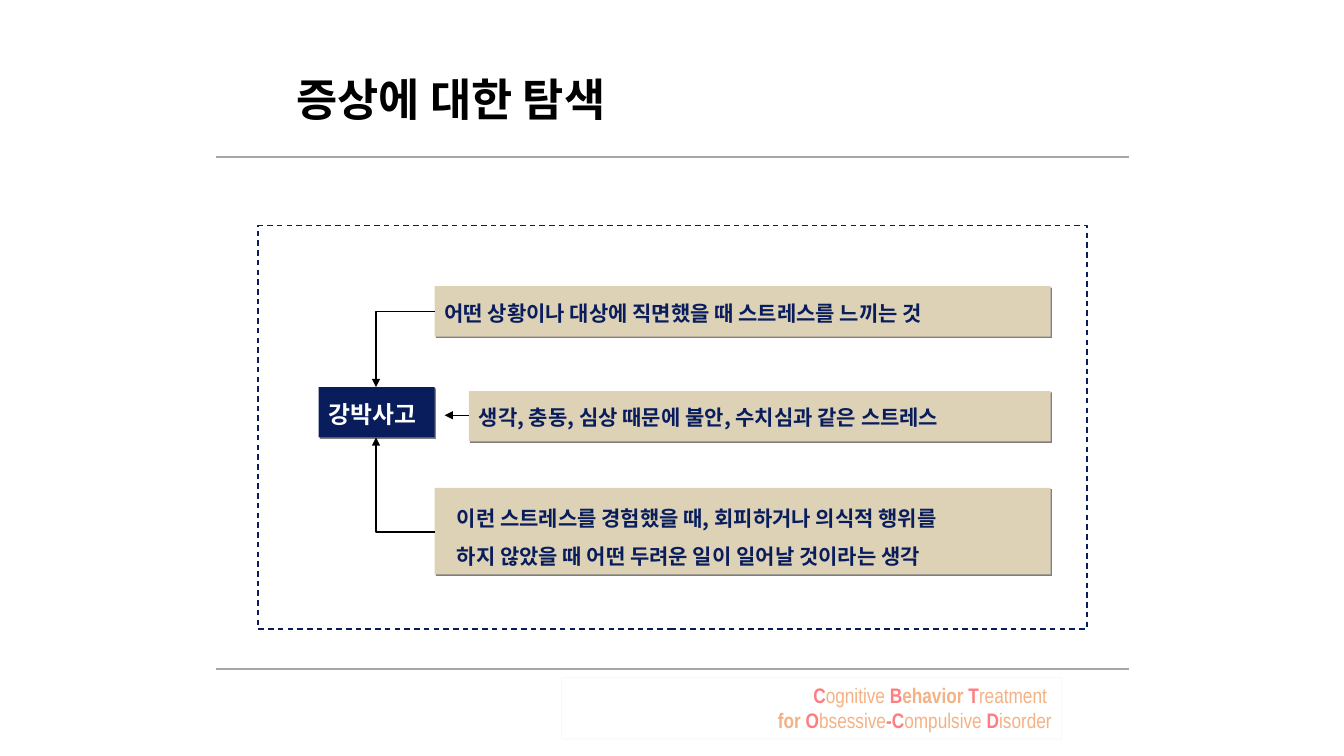
"""Build the slide on exploring the symptoms of obsessive thought."""
from lxml import etree
from pptx import Presentation
from pptx import util as u
from pptx.dml.color import RGBColor
from pptx.enum import dml, shapes, text
from pptx.oxml import parse_xml
from pptx.oxml.ns import nsdecls, qn

COLORS = {"navy": "091D5D", "sand": "DDD2B5", "white": "FFFFFF", "black": "000000",
          "rule": "A6A6A6", "shade": "808080", "coral": "FF7C80", "peach": "F4B183"}
KOREAN, LATIN = "Noto Sans CJK KR", "Arial Narrow"


def write(paragraph, words, size=15, color="navy", bold=True, font=KOREAN, spacing=None):
    run = paragraph.add_run()
    run.text = words
    run.font.size, run.font.bold, run.font.name = u.Pt(size), bold, font
    run.font.color.rgb = RGBColor.from_string(COLORS[color])
    etree.SubElement(run.font._element, qn("a:ea"), typeface=font)
    if spacing:
        paragraph.line_spacing = spacing


def connect(kind, start, end, color="black", width=1, arrow=True):
    line = slide.shapes.add_connector(kind, *(u.Inches(n) for n in start + end))
    line.line.color.rgb = RGBColor.from_string(COLORS[color])
    line.line.width = u.Pt(width)
    properties = line._element.spPr
    etree.SubElement(properties, qn("a:effectLst"))
    if arrow:
        etree.SubElement(properties.find(qn("a:ln")), qn("a:tailEnd"), type="triangle")
    if kind == shapes.MSO_CONNECTOR.ELBOW:
        properties.find(qn("a:prstGeom")).set("prst", "bentConnector2")


deck = Presentation()
deck.slide_width, deck.slide_height = u.Inches(13.33), u.Inches(7.5)
slide = deck.slides.add_slide(deck.slide_layouts[5])

for rule_y in (6.64, 1.56):
    connect(shapes.MSO_CONNECTOR.STRAIGHT, (2.14, rule_y), (11.2, rule_y),
            color="rule", width=1.25, arrow=False)

title = slide.shapes.title
title.left, title.top, title.width, title.height = (u.Inches(n) for n in (2.84, 0.39, 8, 1.25))
title.text_frame.vertical_anchor = text.MSO_ANCHOR.MIDDLE
heading = title.text_frame.paragraphs[0]
heading.alignment = text.PP_ALIGN.LEFT
write(heading, "증상에 대한 탐색", size=32, color="black", spacing=0.9)

credit = slide.shapes.add_shape(shapes.MSO_SHAPE.RECTANGLE, *(u.Inches(n) for n in (5.57, 6.72, 4.96, 0.61)))
credit.shadow.inherit = False
credit.fill.background()
credit.line.color.rgb = RGBColor.from_string(COLORS["peach"])
credit.line.width = u.Pt(0.75)
edge_color = credit.line._ln.find(".//" + qn("a:srgbClr"))
etree.SubElement(edge_color, qn("a:alpha"), val="10000")
credit_text = credit.text_frame
credit_text.word_wrap = True
credit_text.auto_size = text.MSO_AUTO_SIZE.SHAPE_TO_FIT_TEXT
credit_text.vertical_anchor = text.MSO_ANCHOR.TOP
credit_lines = [
    [("C", "coral", True), ("ognitive", "peach", False), (" B", "coral", True),
     ("ehavior", "peach", True), (" T", "coral", True), ("reatment ", "peach", False)],
    [("for", "peach", True), (" O", "coral", True), ("bsessive", "peach", False),
     ("-C", "coral", True), ("ompulsive", "peach", False), (" D", "coral", True),
     ("isorder", "peach", False)],
]
for row, pieces in enumerate(credit_lines):
    paragraph = credit_text.add_paragraph() if row else credit_text.paragraphs[0]
    paragraph.alignment = text.PP_ALIGN.RIGHT
    for words, color, bold in pieces:
        write(paragraph, words, color=color, bold=bold, font=LATIN)

frame = slide.shapes.add_shape(shapes.MSO_SHAPE.RECTANGLE, *(u.Inches(n) for n in (2.56, 2.24, 8.22, 4)))
frame.shadow.inherit = False
frame.fill.solid()
frame.fill.fore_color.rgb = RGBColor.from_string(COLORS["white"])
frame.line.color.rgb = RGBColor.from_string(COLORS["navy"])
frame.line.width = u.Pt(1)
frame.line.dash_style = dml.MSO_LINE.DASH

boxes = [
    ((3.16, 3.84, 1.15, 0.5), "navy", 0.1, ["강박사고"], {"size": 17, "color": "white", "spacing": 1.1}),
    ((4.31, 4.84, 6.11, 0.86), "sand", 0.22,
     ["이런 스트레스를 경험했을 때, 회피하거나 의식적 행위를",
      "하지 않았을 때 어떤 두려운 일이 일어날 것이라는 생각"], {"spacing": 1.5}),
    ((4.31, 2.84, 6.11, 0.5), "sand", 0.1,
     ["어떤 상황이나 대상에 직면했을 때 스트레스를 느끼는 것"], {"spacing": 1.1}),
    ((4.65, 3.88, 5.77, 0.5), "sand", 0.1,
     ["생각, 충동, 심상 때문에 불안, 수치심과 같은 스트레스"], {"spacing": 1.1}),
]
for place, fill, indent, lines, style in boxes:
    box = slide.shapes.add_shape(shapes.MSO_SHAPE.RECTANGLE, *(u.Inches(n) for n in place))
    box.shadow.inherit = False
    box.fill.solid()
    box.fill.fore_color.rgb = RGBColor.from_string(COLORS[fill])
    box.line.fill.background()
    box._element.spPr.find(qn("a:effectLst")).append(parse_xml(
        f'<a:outerShdw {nsdecls("a")} blurRad="0" dist="{u.Pt(1.4)}" dir="2700000" '
        f'algn="ctr" rotWithShape="0"><a:srgbClr val="{COLORS["shade"]}"/></a:outerShdw>'))
    body = box.text_frame
    body.word_wrap = True
    body.vertical_anchor = text.MSO_ANCHOR.MIDDLE
    body.margin_left = u.Inches(indent)
    body.margin_top = body.margin_right = body.margin_bottom = u.Inches(0.1)
    for row, words in enumerate(lines):
        paragraph = body.add_paragraph() if row else body.paragraphs[0]
        paragraph.alignment = text.PP_ALIGN.LEFT
        write(paragraph, words, **style)

for start_y, end_y in ((3.09, 3.84), (5.28, 4.34)):
    connect(shapes.MSO_CONNECTOR.ELBOW, (4.31, start_y), (3.73, end_y))
connect(shapes.MSO_CONNECTOR.STRAIGHT, (4.65, 4.12), (4.41, 4.12))

deck.save("out.pptx")
